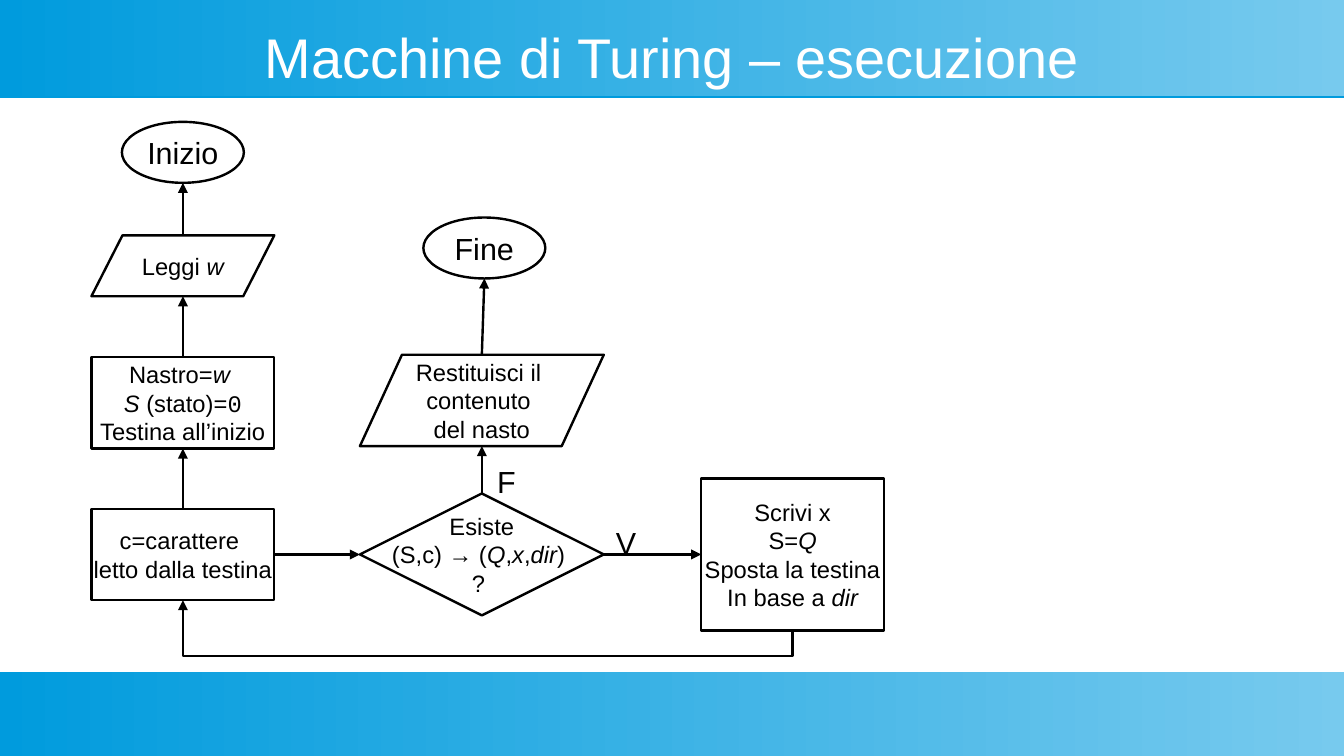
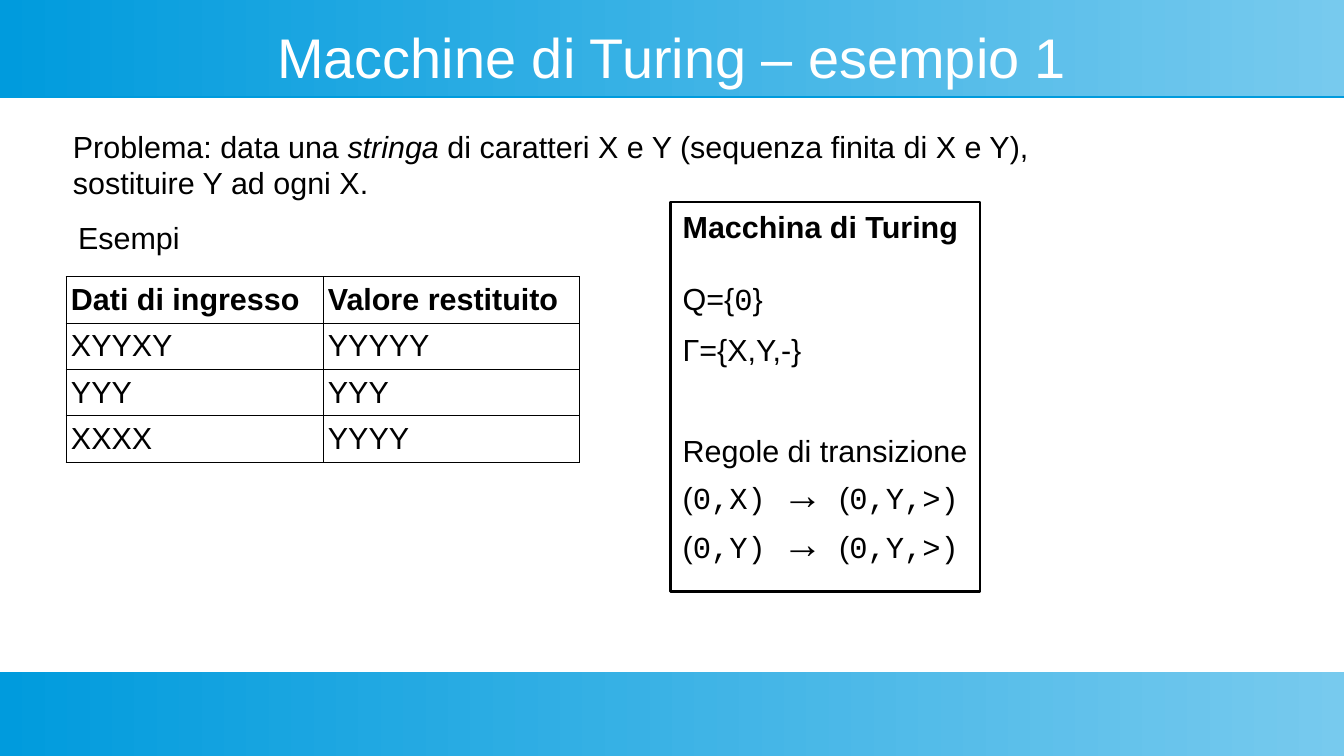
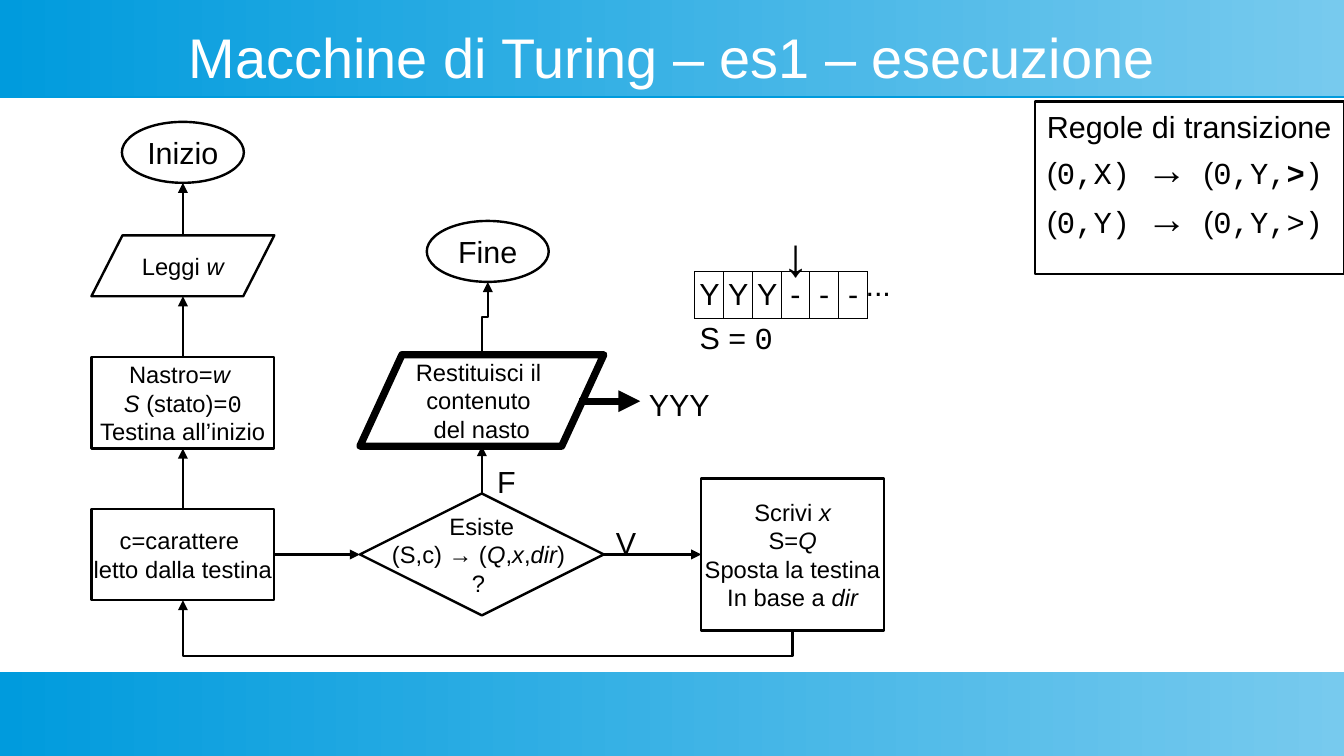
from lxml.etree import SubElement
from pptx import Presentation
from pptx.dml.color import RGBColor
from pptx.enum.shapes import MSO_CONNECTOR, MSO_SHAPE
from pptx.enum.text import MSO_ANCHOR, MSO_AUTO_SIZE, PP_ALIGN
from pptx.oxml.ns import qn
from pptx.util import Pt

BLACK = RGBColor(0x00, 0x00, 0x00)
WHITE = RGBColor(0xFF, 0xFF, 0xFF)
DEEP_BLUE = RGBColor(0x00, 0x9B, 0xDD)
PALE_BLUE = RGBColor(0x77, 0xCA, 0xEE)

WIDTH, HEIGHT = 793.5, 446.5
THIN, THICK = 1.42, 4.31
SMALL, NORMAL = 14, 18

# Span formats
ITALIC = {"italic": True}
BOLD = {"bold": True}
MONO = {"name": "Courier New"}
MONO_BOLD = {**MONO, **BOLD}
MONO_BIG = {**MONO, "size": Pt(24)}


def spot(box, across, down):
    """Point of a box, in points, at the given fractions of its size."""
    return (box.left.pt + box.width.pt * across,
            box.top.pt + box.height.pt * down)


def top(box):
    return spot(box, 0.5, 0)


def bottom(box):
    return spot(box, 0.5, 1)


def left(box):
    return spot(box, 0, 0.5)


def right(box):
    return spot(box, 1, 0.5)


class Deck:
    """The shared style and the slide being built."""

    def __init__(self):
        self.deck = Presentation()
        self.deck.slide_width, self.deck.slide_height = Pt(WIDTH), Pt(HEIGHT)
        self.layout = self.deck.slide_layouts[5]
        self.page = None

    def new_page(self, title):
        self.page = self.deck.slides.add_slide(self.layout)
        if len(self.deck.slides) == 1:
            self.band(0, 57)
            self.band(397, HEIGHT - 397)
        box = self.page.shapes.title
        box.left, box.top, box.width, box.height = map(Pt, (28, 14.5, 737.5, 37.5))
        self.fill_text(box.text_frame, [[title]], 33, PP_ALIGN.CENTER, color=WHITE,
                       margins=(0, 0), anchor=MSO_ANCHOR.MIDDLE)

    def band(self, y, height):
        """Blue band, moved to the layout that every slide uses."""
        band = self.page.shapes.add_shape(MSO_SHAPE.RECTANGLE, 0, Pt(y), Pt(WIDTH), Pt(height))
        band.line.fill.background()
        band.fill.gradient()
        band.fill.gradient_angle = 0
        for stop, color in zip(band.fill.gradient_stops, (DEEP_BLUE, PALE_BLUE)):
            stop.color.rgb = color
        band.shadow.inherit = False
        effects = band.element.spPr.find(qn("a:effectLst"))
        shadow = SubElement(effects, qn("a:outerShdw"), blurRad="0",
                            dist=str(Pt(0.9)), dir="5400000", rotWithShape="0")
        SubElement(shadow, qn("a:srgbClr"), val=str(DEEP_BLUE))
        self.layout.shapes.element.insert(2, band.element)

    def fill_text(self, frame, paragraphs, size=NORMAL, align=PP_ALIGN.LEFT, gaps=None,
                  color=BLACK, margins=(7.2, 3.6), anchor=MSO_ANCHOR.TOP, wrap=True):
        """Fill a frame; a span is a string or a (string, format) pair."""
        side, edge = map(Pt, margins)
        settings = {"margin_left": side, "margin_right": side, "margin_top": edge,
                    "margin_bottom": edge, "vertical_anchor": anchor,
                    "word_wrap": wrap, "auto_size": MSO_AUTO_SIZE.NONE}
        for key, value in settings.items():
            setattr(frame, key, value)
        for number, spans in enumerate(paragraphs):
            para = frame.add_paragraph() if number else frame.paragraphs[0]
            para.alignment = align
            if gaps and number in gaps:
                para.space_before = Pt(gaps[number])
            for item in spans:
                text, look = (item, {}) if isinstance(item, str) else item
                self.add_span(para, text, {"size": Pt(size), **look}, color)

    def add_span(self, para, text, look, color=BLACK):
        span = para.add_run()
        span.text = text
        for key, value in {"name": "Arial", **look}.items():
            setattr(span.font, key, value)
        span.font.color.rgb = color

    def text(self, x, y, width, height, paragraphs, size=NORMAL):
        box = self.page.shapes.add_textbox(*map(Pt, (x, y, width, height)))
        self.fill_text(box.text_frame, paragraphs, size)

    def shape(self, kind, x, y, width, height, paragraphs, size=SMALL, line=THIN,
              slant=None, align=PP_ALIGN.CENTER, anchor=MSO_ANCHOR.MIDDLE, gaps=None):
        box = self.page.shapes.add_shape(kind, *map(Pt, (x, y, width, height)))
        box.shadow.inherit = False
        box.fill.background()
        box.line.color.rgb = BLACK
        box.line.width = Pt(line)
        if slant:
            box.adjustments[0] = slant
        self.fill_text(box.text_frame, paragraphs, size, align, gaps, anchor=anchor, wrap=False)
        return box

    def panel(self, x, y, width, height, paragraphs, gaps=None):
        self.shape(MSO_SHAPE.RECTANGLE, x, y, width, height, paragraphs, NORMAL,
                   align=PP_ALIGN.LEFT, anchor=MSO_ANCHOR.TOP, gaps=gaps)

    def arrow(self, start, end, line=THIN, kind=MSO_CONNECTOR.STRAIGHT):
        arrow = self.page.shapes.add_connector(kind, *map(Pt, (*start, *end)))
        arrow.line.color.rgb = BLACK
        arrow.line.width = Pt(line)
        properties = arrow.element.spPr
        SubElement(properties.find(qn("a:ln")), qn("a:tailEnd"), type="triangle")
        SubElement(properties, qn("a:effectLst"))
        return arrow

    def rising_elbow(self, start, end, bend):
        """Elbow that ends upwards; bend is the turn as a fraction of the rise."""
        (x1, y1), (x2, y2) = start, end
        x, y = (x1 + x2) / 2, (y1 + y2) / 2
        rise, run = (y1 - y2) / 2, abs(x2 - x1) / 2
        elbow = self.arrow((x - rise, y - run), (x + rise, y + run), kind=MSO_CONNECTOR.ELBOW)
        properties = elbow.element.spPr
        frame = properties.find(qn("a:xfrm"))
        frame.set("rot", "16200000")
        if x2 < x1:
            frame.set("flipV", "1")
        values = properties.find(qn("a:prstGeom")).find(qn("a:avLst"))
        SubElement(values, qn("a:gd"), name="adj1", fmla=f"val {round(bend * 100000)}")

    def table(self, x, y, column, rows, align=PP_ALIGN.LEFT, header=False):
        count, height = len(rows[0]), 27.2
        table = self.page.shapes.add_table(
            len(rows), count, *map(Pt, (x, y, column * count, height * len(rows)))).table
        table.first_row = table.horz_banding = False
        for each in table.columns:
            each.width = Pt(column)
        for number, values in enumerate(rows):
            table.rows[number].height = Pt(height)
            look = BOLD if header and number == 0 else {}
            for place, value in enumerate(values):
                self.cell(table.cell(number, place), value, look, align)

    def cell(self, cell, value, look, align):
        para = cell.text_frame.paragraphs[0]
        para.alignment = align
        self.add_span(para, value, {"size": Pt(NORMAL), **look})
        cell.margin_left = cell.margin_right = Pt(2.9)
        cell.margin_top = cell.margin_bottom = Pt(3.6)
        properties = cell._tc.get_or_add_tcPr()
        for side in ("a:lnL", "a:lnR", "a:lnT", "a:lnB"):
            border = SubElement(properties, qn(side), w=str(Pt(0.57)))
            fill = SubElement(border, qn("a:solidFill"))
            SubElement(fill, qn("a:srgbClr"), val=str(BLACK))
        cell.fill.background()

    def flowchart(self, end_at, written, output_line=THIN):
        """Flow of a Turing machine; returns the output and end boxes."""
        # Left column
        begin = self.shape(MSO_SHAPE.OVAL, 72, 72, 72, 36, [["Inizio"]], NORMAL)
        entry = self.shape(MSO_SHAPE.PARALLELOGRAM, 54, 139, 108, 36,
                           [["Leggi ", ("w", ITALIC)]], slant=0.51)
        prepare = self.shape(MSO_SHAPE.RECTANGLE, 54, 211, 108, 54, [
            ["Nastro=", ("w ", ITALIC)],
            [("S ", ITALIC), "(stato)=", ("0", MONO)],
            ["Testina all’inizio"]])
        scan = self.shape(MSO_SHAPE.RECTANGLE, 54, 300.5, 108, 54,
                          [["c=carattere "], ["letto dalla testina"]])
        for lower, upper in ((entry, begin), (prepare, entry), (scan, prepare)):
            self.arrow(top(lower), bottom(upper))

        # Test, writing step and output
        test = self.shape(MSO_SHAPE.DIAMOND, 212.5, 291.5, 144, 72, [
            ["Esiste"],
            ["(S,c) → (", ("Q", ITALIC), ",", ("x", ITALIC), ",", ("dir", ITALIC), ") "],
            ["? "]])
        update = self.shape(MSO_SHAPE.RECTANGLE, 414, 282.5, 108, 90, [
            ["Scrivi ", written],
            ["S=", ("Q", ITALIC)],
            ["Sposta la testina"],
            ["In base a ", ("dir", ITALIC)]])
        output = self.shape(MSO_SHAPE.PARALLELOGRAM, 212.5, 209.5, 144, 54,
                            [["Restituisci il "], ["contenuto "], ["del nasto"]],
                            line=output_line, slant=0.46)
        end = self.shape(MSO_SHAPE.OVAL, *end_at, 72, 36, [["Fine"]], NORMAL)

        # Branches and the way back
        self.arrow(right(scan), left(test))
        self.arrow(right(test), left(update))
        self.arrow(top(test), bottom(output))
        self.rising_elbow(bottom(update), bottom(scan), -0.83)
        self.text(356.5, 306, 30, 27, [["V"]])
        self.text(286.5, 270, 30, 27, [["F"]])
        return output, end


def rule(symbol, *result):
    """Transition rule in state 0 for one symbol."""
    return ["(", (f"0,{symbol})", MONO), (" → ", MONO_BIG), "(", *result]


def main():
    deck = Deck()
    plain_result = ("0,Y,>)", MONO)

    # Slide 1: general flowchart
    deck.new_page("Macchine di Turing – esecuzione")
    output, end = deck.flowchart((250, 128.5), "x")
    deck.arrow(top(output), bottom(end))

    # Slide 2: problem, examples and machine
    deck.new_page("Macchine di Turing – esempio 1")
    deck.panel(396, 119.5, 182.5, 230, [
        [("Macchina di Turing", BOLD)],
        ["Q={", ("0", MONO), "}"],
        ["Γ={X,Y,-}"],
        ["Regole di transizione"],
        rule("X", plain_result),
        rule("Y", plain_result)], gaps={1: 20.7, 2: 8.7, 3: 38.1})
    deck.text(36, 72, 584, 47.5, [
        ["Problema: data una ", ("stringa", ITALIC),
         " di caratteri X e Y (sequenza finita di X e Y),"],
        ["sostituire Y ad ogni X."]])
    deck.text(39, 126, 126, 36, [["Esempi"]])
    deck.table(39, 163.5, 151.7, [
        ("Dati di ingresso", "Valore restituito"),
        ("XYYXY", "YYYYY"),
        ("YYY", "YYY"),
        ("XXXX", "YYYY")], header=True)

    # Slide 3: last step of the run
    deck.new_page("Macchine di Turing – es1 – esecuzione")
    output, end = deck.flowchart((252, 130.5), ("x", ITALIC), THICK)
    deck.rising_elbow(top(output), bottom(end), 0.52)
    deck.panel(611, 60, 182.5, 102, [
        ["Regole di transizione"],
        rule("X", ("0,Y,", MONO), (">", MONO_BOLD), (")", MONO)),
        rule("Y", plain_result)])

    # Tape, head, state and result
    deck.table(410, 160.5, 17.04, ["YYY---"], PP_ALIGN.CENTER)
    deck.text(455, 128, 36, 43, [["↓"]], 32)
    deck.text(406, 185, 80, 30, [["S = ", ("0", MONO)]])
    deck.text(504, 153.5, 36, 36, [["..."]])
    deck.text(376, 224.5, 108, 27.5, [["YYY"]])
    deck.arrow((342, 237), (378, 237), THICK)

    deck.deck.save("out.pptx")


if __name__ == "__main__":
    main()
